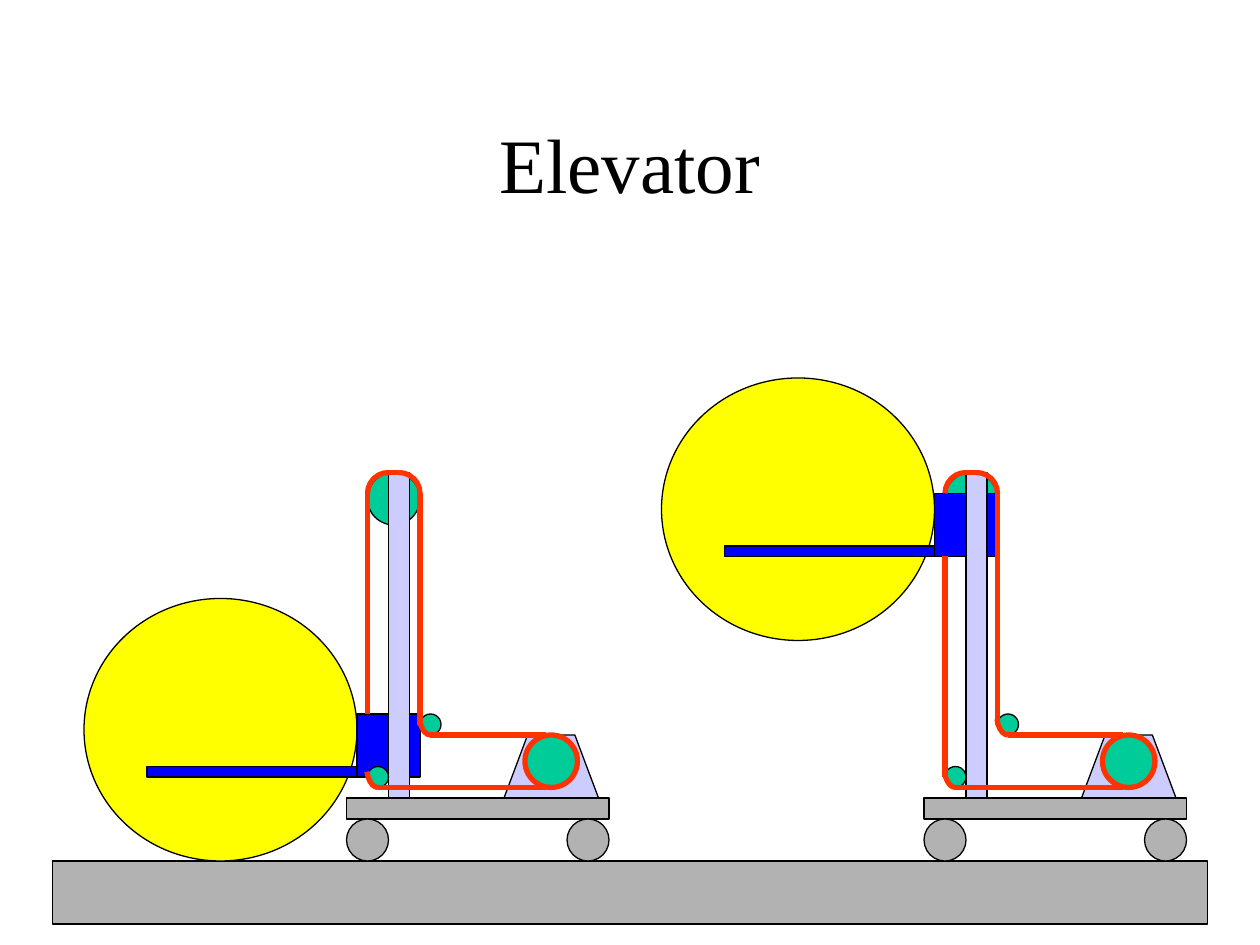
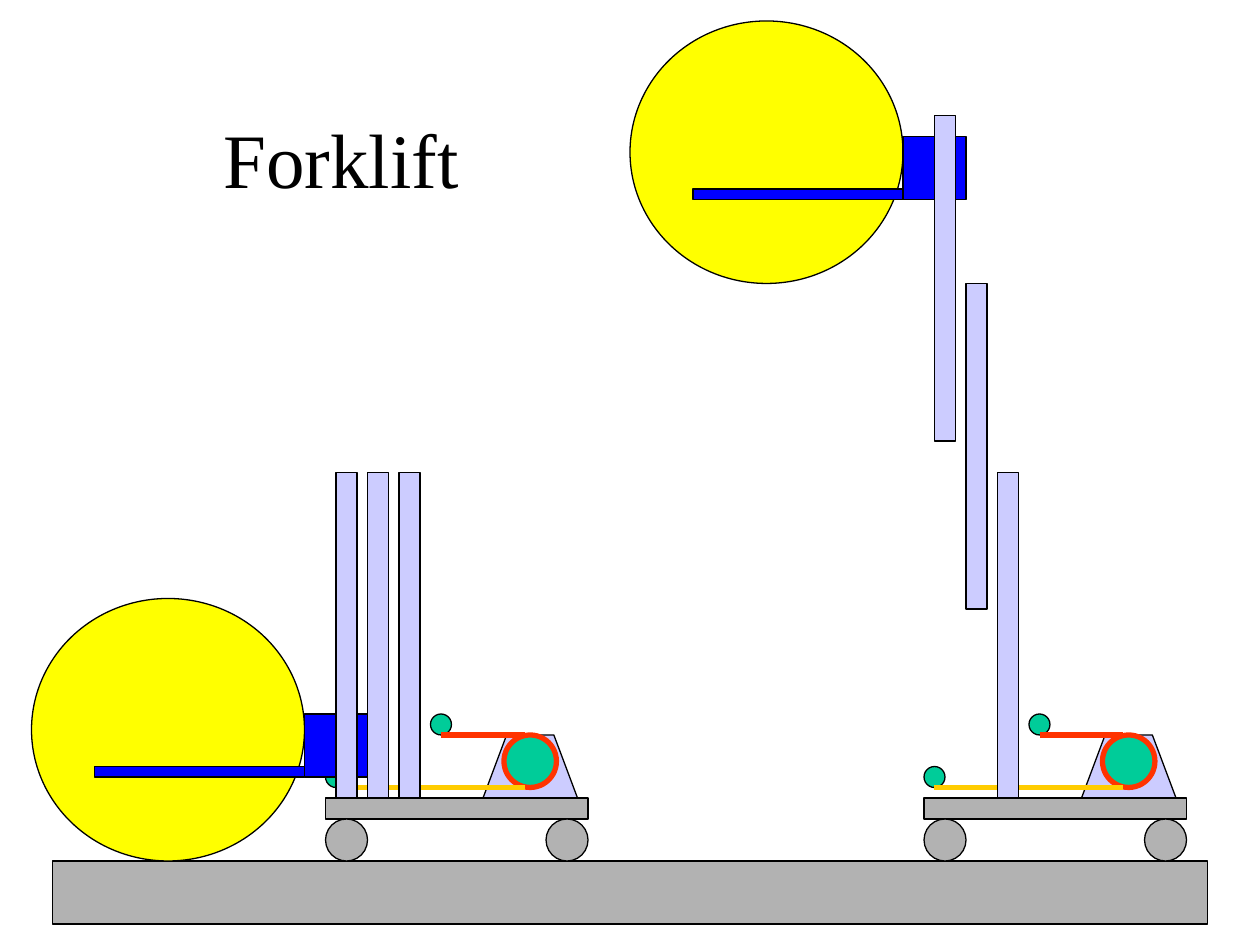
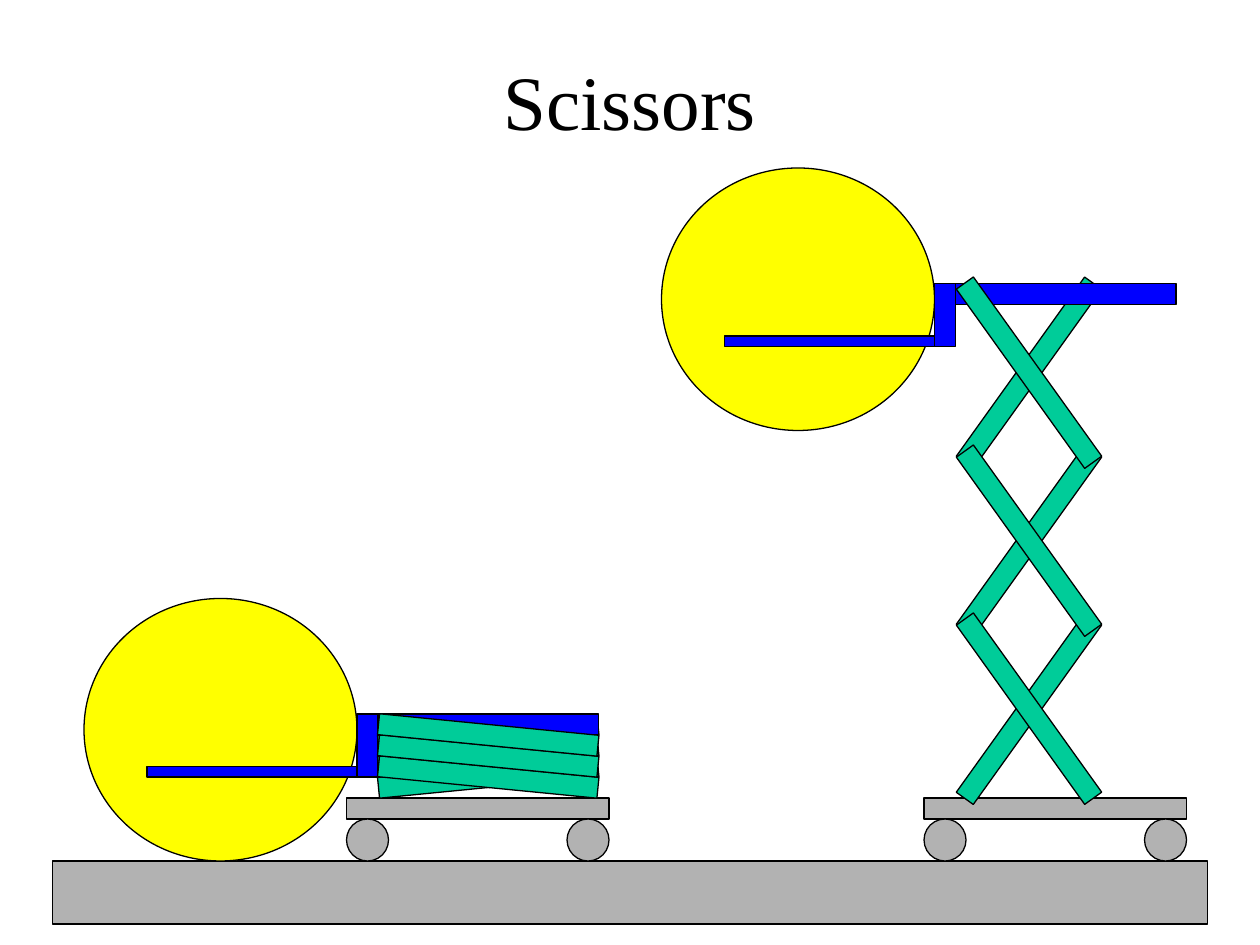
from pptx import Presentation
from pptx.dml.color import RGBColor
from pptx.enum.shapes import MSO_CONNECTOR, MSO_SHAPE
from pptx.enum.text import MSO_ANCHOR, MSO_AUTO_SIZE, PP_ALIGN
from pptx.oxml.ns import qn
from pptx.util import Pt
from lxml import etree

RECT, OVAL, ARC = MSO_SHAPE.RECTANGLE, MSO_SHAPE.OVAL, MSO_SHAPE.ARC
STRAIGHT = MSO_CONNECTOR.STRAIGHT
MIDDLE, CENTER, NO_FIT = MSO_ANCHOR.MIDDLE, PP_ALIGN.CENTER, MSO_AUTO_SIZE.NONE

BLACK, GRAY, YELLOW, BLUE = "000000", "B2B2B2", "FFFF00", "0000FF"
GREEN, LAVENDER, RED, AMBER = "00CC99", "CCCCFF", "FF3300", "FFCC00"
TITLE_ONLY = 5
LEFT_CART, RIGHT_CART = 198, 528
DECK_Y, GROUND_Y = 456, 492
MAST_TOP = 270
BELT_TOP, BELT_BOTTOM = 420, 450


def color(hex_value):
    """Turn a hex string into a colour."""
    return RGBColor.from_string(hex_value)


def set_format(target, values):
    """Set each named attribute of the target."""
    for key, value in values.items():
        setattr(target, key, value)


class Drawing:
    """Holds the deck style and draws on the current slide."""

    title_frame = {"vertical_anchor": MIDDLE, "word_wrap": True, "auto_size": NO_FIT,
                   "margin_left": Pt(7.2), "margin_right": Pt(7.2),
                   "margin_top": Pt(3.6), "margin_bottom": Pt(3.6)}
    title_font = {"size": Pt(44), "name": "Times New Roman", "bold": False}

    def __init__(self):
        """Start an empty deck of 10 by 7.5 inches."""
        self.deck = Presentation()
        set_format(self.deck, {"slide_width": Pt(720), "slide_height": Pt(540)})
        self.slide = None

    def start(self, title, left, top, width, height):
        """Add a slide with its title and the ground."""
        self.slide = self.deck.slides.add_slide(self.deck.slide_layouts[TITLE_ONLY])
        heading = self.slide.shapes.title
        set_format(heading, {"left": Pt(left), "top": Pt(top),
                             "width": Pt(width), "height": Pt(height)})
        heading.text = title
        set_format(heading.text_frame, self.title_frame)
        paragraph = heading.text_frame.paragraphs[0]
        paragraph.alignment = CENTER
        font = paragraph.runs[0].font
        set_format(font, self.title_font)
        font.color.rgb = color(BLACK)
        self.shape(RECT, 30, GROUND_Y, 660, 36, GRAY)

    def paint(self, part, fill, line, weight):
        """Apply fill and outline without a shadow."""
        part.shadow.inherit = False
        if fill:
            part.fill.solid()
            part.fill.fore_color.rgb = color(fill)
        else:
            part.fill.background()
        part.line.color.rgb = color(line)
        part.line.width = Pt(weight)
        return part

    def shape(self, kind, left, top, width, height, fill=None, line=BLACK, weight=0.75):
        """Draw a preset shape."""
        part = self.slide.shapes.add_shape(kind, Pt(left), Pt(top), Pt(width), Pt(height))
        return self.paint(part, fill, line, weight)

    def circle(self, left, top, size, fill):
        """Draw a filled circle."""
        self.shape(OVAL, left, top, size, size, fill)

    def outline(self, points, fill):
        """Draw a closed polygon."""
        corners = [(Pt(x), Pt(y)) for x, y in points]
        builder = self.slide.shapes.build_freeform(*corners[0])
        builder.add_line_segments(corners[1:], close=True)
        self.paint(builder.convert_to_shape(), fill, BLACK, 0.75)

    def belt(self, x1, y1, x2, y2, line=RED):
        """Draw a straight stretch of belt."""
        stretch = self.slide.shapes.add_connector(STRAIGHT, Pt(x1), Pt(y1), Pt(x2), Pt(y2))
        stretch.line.color.rgb = color(line)
        stretch.line.width = Pt(3)
        etree.SubElement(stretch._element.spPr, qn("a:effectLst"))

    def bend(self, left, top, width, start, end):
        """Draw a belt bend clockwise between two angles in degrees."""
        curve = self.shape(ARC, left, top, width, 24, line=RED, weight=3)
        for index, angle in enumerate((start, end)):
            curve.adjustments[index] = angle * 0.6

    def cart(self, x):
        """Draw a platform on two wheels."""
        self.shape(RECT, x, DECK_Y, 150, 12, GRAY)
        for wheel_x in (x, x + 126):
            self.circle(wheel_x, DECK_Y + 12, 24, GRAY)

    def motor_cart(self, x):
        """Draw a cart that carries a motor with a drum."""
        base = x + 90
        self.outline([(base, DECK_Y), (base + 54, DECK_Y),
                      (base + 40.5, BELT_TOP), (base + 13.5, BELT_TOP)], LAVENDER)
        self.cart(x)
        self.circle(x + 102, BELT_TOP, 30, GREEN)

    def drum_belt(self, x, top_x, bottom_x, bottom_line=RED):
        """Wrap the belt round the drum and lead it to both pulleys."""
        self.shape(OVAL, x + 102, BELT_TOP, 30, 30, line=RED, weight=3)
        self.belt(top_x, BELT_TOP, x + 114, BELT_TOP)
        self.belt(bottom_x, BELT_BOTTOM, x + 114, BELT_BOTTOM, bottom_line)

    def pulleys(self, lower_x, upper_x):
        """Draw the two small guide pulleys."""
        self.circle(lower_x, 438, 12, GREEN)
        self.circle(upper_x, 408, 12, GREEN)

    def mast(self, x, top):
        """Draw one upright mast."""
        self.shape(RECT, x, top, 12, 186, LAVENDER)

    def fork(self, x, y, width):
        """Draw the ball, the carriage and the tine."""
        self.shape(OVAL, x - 156, y - 66, 156, 150, YELLOW)
        self.shape(RECT, x, y, width, 36, BLUE)
        self.shape(RECT, x - 120, y + 30, 120, 6, BLUE)

    def elevator(self, x, carriage_y, strand_top, strand_bottom):
        """Draw a belt elevator with its carriage at the given height."""
        strand_x, return_x = x + 12, x + 42
        bend_y = MAST_TOP + 12
        self.circle(strand_x, MAST_TOP, 30, GREEN)
        self.fork(x + 6, carriage_y, 36)
        self.motor_cart(x)
        self.mast(x + 24, MAST_TOP)
        self.pulleys(strand_x, return_x)
        self.drum_belt(x, x + 48, x + 18)
        self.bend(x + 18, MAST_TOP, 24, 270, 0)
        self.bend(strand_x, MAST_TOP, 24, 180, 270)
        self.bend(strand_x - 0.5, 426, 13, 90, 155)
        self.bend(return_x - 0.5, 396, 13, 90, 155)
        self.belt(x + 24, MAST_TOP, x + 30, MAST_TOP)
        self.belt(return_x, bend_y, return_x, 414)
        self.belt(strand_x, strand_top, strand_x, strand_bottom)

    def forklift(self, x, carriage_y, inner_top, middle_top):
        """Draw a three-stage forklift."""
        self.motor_cart(x)
        self.pulleys(x, x + 60)
        self.drum_belt(x, x + 66, x + 6, AMBER)
        self.mast(x + 24, middle_top)
        self.fork(x - 12, carriage_y, 36)
        self.mast(x + 6, inner_top)
        self.mast(x + 42, MAST_TOP)

    def scissors(self, x, carriage_y, arm_x, lowest_y, step, angle):
        """Draw three pairs of crossed arms under the lifting deck."""
        def arm(level, turn):
            """Draw one arm."""
            bar = self.shape(RECT, arm_x, lowest_y - level * step, 126, 12, GREEN)
            bar.rotation = turn

        self.fork(x + 6, carriage_y, 12)
        self.cart(x)
        for level, turn in ((0, -angle), (1, -angle), (0, angle), (2, -angle), (1, angle)):
            arm(level, turn)
        self.shape(RECT, x + 18, carriage_y, 126, 12, BLUE)
        arm(2, angle)


def main():
    """Build the three lift slides."""
    drawing = Drawing()

    drawing.start("Elevator", 54, 48, 612, 90)
    drawing.elevator(LEFT_CART, 408, 282, 408)
    drawing.elevator(RIGHT_CART, 282, 318, 444)

    drawing.start("Forklift", 54, 48, 282, 84)
    drawing.forklift(LEFT_CART - 12, 408, MAST_TOP, MAST_TOP)
    drawing.forklift(RIGHT_CART, 78, 66, 162)

    drawing.start("Scissors", 54, 12, 612, 90)
    drawing.scissors(LEFT_CART, 408, 216, 438, 12, 5.6)
    drawing.scissors(RIGHT_CART, 162, 525, 399, 96, 54.4)

    drawing.deck.save("out.pptx")


if __name__ == "__main__":
    main()
